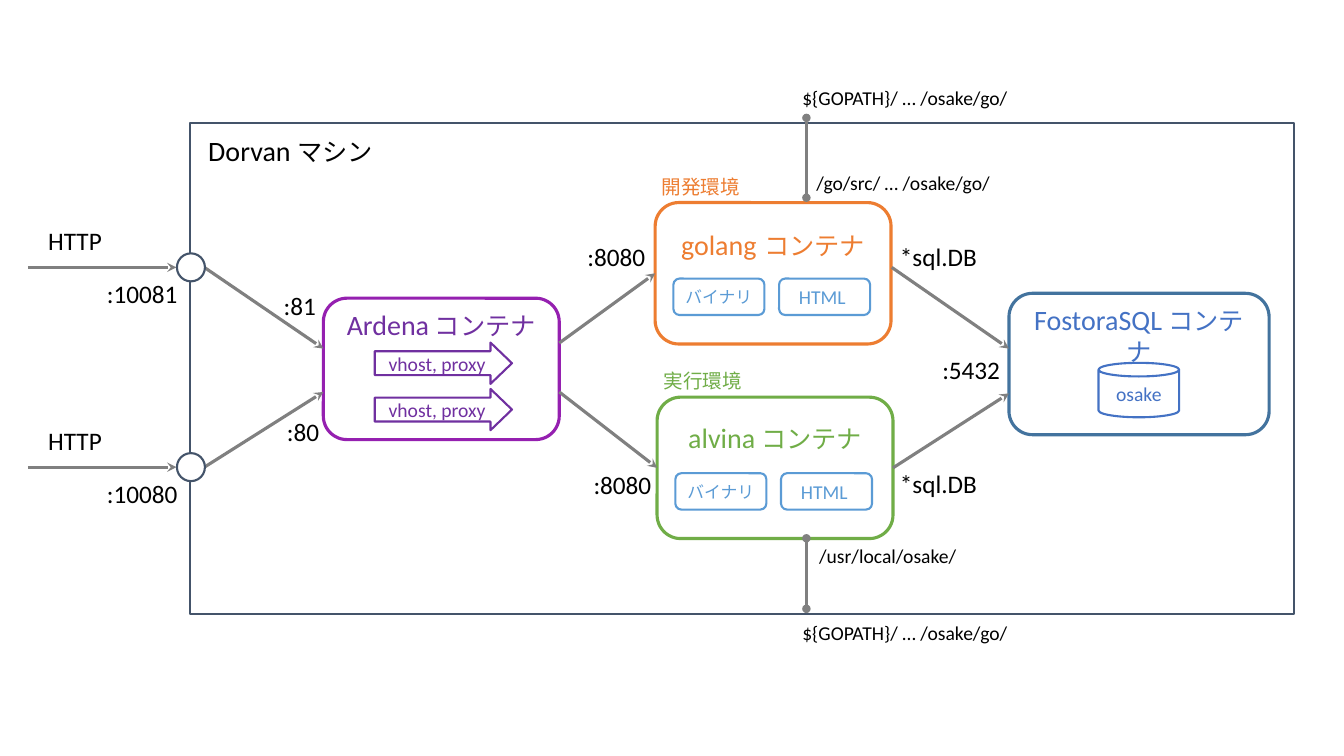
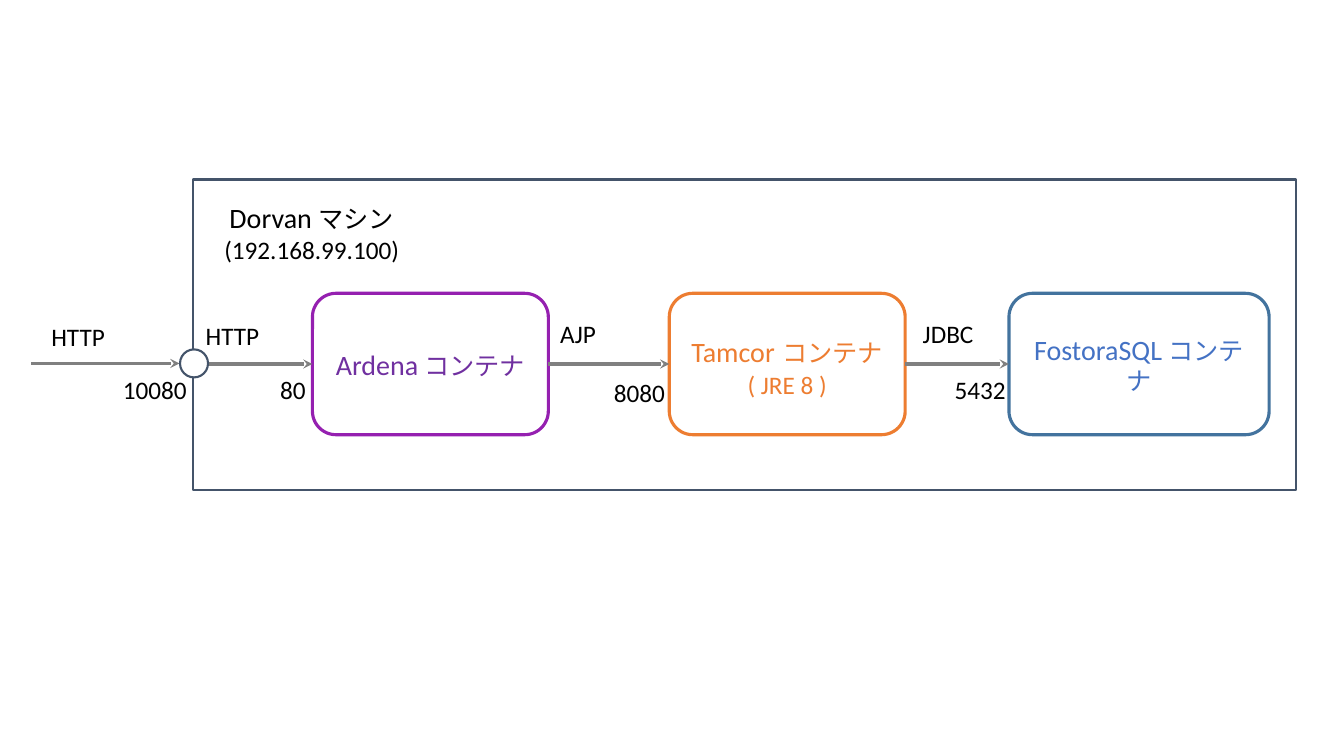
from collections import namedtuple

from lxml import etree
from pptx import Presentation
from pptx import util as u
from pptx.dml.color import RGBColor
from pptx.enum import shapes, text
from pptx.oxml import ns

Pt = u.Pt
Kind = shapes.MSO_SHAPE
Align = text.PP_ALIGN
Anchor = text.MSO_ANCHOR
Box = namedtuple("Box", "left top width height")

FONT = "Calibri"
BLACK = RGBColor(0x00, 0x00, 0x00)
WHITE = RGBColor(0xFF, 0xFF, 0xFF)
GREY = RGBColor(0x80, 0x80, 0x80)
SLATE = RGBColor(0x44, 0x54, 0x6A)
VIOLET = RGBColor(0x95, 0x20, 0xB0)
PURPLE = RGBColor(0x70, 0x30, 0xA0)
STEEL = RGBColor(0x43, 0x73, 0x9E)
BLUE = RGBColor(0x44, 0x72, 0xC4)
SKY = RGBColor(0x5B, 0x9B, 0xD5)
ORANGE = RGBColor(0xED, 0x7D, 0x31)
GREEN = RGBColor(0x70, 0xAD, 0x47)

CONTAINER_W, CONTAINER_H = 168.5, 101
DATABASE_W = 185.8
PORT_RADIUS = 10
LABEL_W, LABEL_H = 76, 28.8
HOST_PATH = "${GOPATH}/ … /osake/go/"


# Basic parts
def write(frame, lines, color, align=Align.CENTER):
    """Each line is a list of (text, size) spans."""
    frame.word_wrap = True
    for number, line in enumerate(lines):
        para = frame.add_paragraph() if number else frame.paragraphs[0]
        para.alignment = align
        for words, size in line:
            span = para.add_run()
            span.text = words
            span.font.name = FONT
            span.font.size = Pt(size)
            span.font.color.rgb = color


def add_text(page, box, lines, color=BLACK, align=Align.CENTER):
    area = page.shapes.add_textbox(*map(Pt, box))
    write(area.text_frame, lines, color, align)


def add_label(page, words, center, top):
    box = Box(center - LABEL_W / 2, top, LABEL_W, LABEL_H)
    add_text(page, box, [[(words, 18)]])


def add_note(page, words, left, top, width, color=BLACK):
    add_text(page, Box(left, top, width, 24.5), [[(words, 14)]], color, Align.LEFT)


def add_outline(page, kind, box, color, weight=1.5, fill=None):
    shape = page.shapes.add_shape(kind, *map(Pt, box))
    shape.shadow.inherit = False
    if fill is None:
        shape.fill.background()
    else:
        shape.fill.solid()
        shape.fill.fore_color.rgb = fill
    shape.line.color.rgb = color
    shape.line.width = Pt(weight)
    shape.text_frame.vertical_anchor = Anchor.MIDDLE
    return shape


def add_line(page, start, end, weight=2.25, head=None, tail="stealth"):
    line = page.shapes.add_connector(
        shapes.MSO_CONNECTOR.STRAIGHT, *map(Pt, (*start, *end)))
    line.line.color.rgb = GREY
    line.line.width = Pt(weight)
    properties = line.element.spPr
    stroke = properties.find(ns.qn("a:ln"))
    for tag, tip in (("a:headEnd", head), ("a:tailEnd", tail)):
        if tip:
            etree.SubElement(stroke, ns.qn(tag), type=tip)
    etree.SubElement(properties, ns.qn("a:effectLst"))
    return line


def link(page, start, end, source=None, target=None):
    """Arrow to the right, joined to side middles where boxes are given."""
    arrow = add_line(page, start, end)
    if source is not None:
        arrow.begin_connect(source, 3)
    if target is not None:
        arrow.end_connect(target, 1)


# Regions
def add_machine(page, box, title_left, title_top, address=None):
    add_outline(page, Kind.RECTANGLE, box, SLATE)
    lines = [[("Dorvan ", 20), ("マシン", 18)]]
    if address:
        lines.append([(address, 18)])
    title = Box(box.left + title_left, box.top + title_top, 149, 32 * len(lines))
    add_text(page, title, lines)


def add_entry(page, machine, y, port, port_shift):
    """HTTP request that arrives at a port on the left edge of the machine."""
    edge = machine.left
    add_line(page, (edge - 116, y), (edge - PORT_RADIUS, y))
    add_label(page, "HTTP", edge - 82.4, y - 33.6)
    add_label(page, port, edge - port_shift, y + 4.6)
    circle = Box(edge + 0.4 - PORT_RADIUS, y - PORT_RADIUS,
                 2 * PORT_RADIUS, 2 * PORT_RADIUS)
    add_outline(page, Kind.OVAL, circle, SLATE, fill=WHITE)


def add_container(page, box, lines, border, color, top_margin=None):
    """Rounded box; a top margin moves its heading to the top."""
    shape = add_outline(page, Kind.ROUNDED_RECTANGLE, box, border, 2.25)
    frame = shape.text_frame
    if top_margin is not None:
        frame.vertical_anchor = Anchor.TOP
        frame.margin_top = Pt(top_margin)
    write(frame, lines, color)
    return shape


def add_web(page, box, top_margin=None):
    heading = [[("Ardena", 20), (" コンテナ", 18)]]
    return add_container(page, box, heading, VIOLET, PURPLE, top_margin)


def add_database(page, box, top_margin=None):
    heading = [[("FostoraSQL ", 20), ("コンテナ", 18)]]
    return add_container(page, box, heading, STEEL, BLUE, top_margin)


def add_proxies(page, box):
    for top in (31.7, 64.8):
        arrow = add_outline(page, Kind.RIGHT_ARROW,
                            Box(box.left + 36.7, box.top + top, 98, 29.5), PURPLE)
        arrow.adjustments[0] = 0.58
        arrow.adjustments[1] = 0.52
        write(arrow.text_frame, [[("vhost, proxy", 14)]], PURPLE)


def add_store(page, box):
    store = add_outline(page, Kind.CAN,
                        Box(box.left + 64, box.top + 49.7, 57.6, 38.9), BLUE)
    write(store.text_frame, [[("osake", 14)]], BLUE)


def add_runtime(page, box, heading, color, environment, top_margin):
    shape = add_container(page, box, [heading], color, color, top_margin)
    add_note(page, environment, box.left - 2.5, box.top - 23.4, 80, color)
    for left, words, size in ((13, "バイナリ", 12), (88.5, "HTML ", 14)):
        chip = add_outline(page, Kind.ROUNDED_RECTANGLE,
                           Box(box.left + left, box.top + 54.3, 65, 26), SKY)
        chip.text_frame.margin_left = chip.text_frame.margin_right = Pt(3)
        write(chip.text_frame, [[(words, size)]], SKY)
    return shape


def add_mount(page, box, host_top, inner_path, inner_left, inner_top):
    """Directory shared between the host and a container."""
    add_line(page, (box.left, box.top + box.height), (box.left, box.top),
             2, "oval", "oval")
    add_note(page, HOST_PATH, box.left - 10, box.top + host_top, 170)
    add_note(page, inner_path, box.left + inner_left, box.top + inner_top, 150)


# Slides
def add_go_page(page):
    machine = Box(136, 88, 788, 350.6)
    web_box = Box(231, 213, CONTAINER_W, CONTAINER_H)
    database_box = Box(720.7, 209.5, DATABASE_W, CONTAINER_H)
    add_machine(page, machine, -3, 3.6)

    # Containers
    add_web(page, web_box, 1.5)
    add_proxies(page, web_box)
    add_database(page, database_box, 1.5)
    add_store(page, database_box)
    develop = add_runtime(
        page, Box(468, 144.7, CONTAINER_W, CONTAINER_H),
        [("golang", 20), (" ", 24), ("コンテナ", 18)], ORANGE, "開発環境", 9)
    release = add_runtime(
        page, Box(469.4, 283.7, CONTAINER_W, CONTAINER_H),
        [("alvina", 20), (" コンテナ", 18)], GREEN, "実行環境", 12)

    # Requests and queries
    web_right = web_box.left + web_box.width
    for y, port, inner_y in ((191, ":10081", 249), (333.7, ":10080", 280)):
        link(page, (machine.left + PORT_RADIUS, y), (web_box.left, inner_y))
        add_entry(page, machine, y, port, 34.4)
    link(page, (web_right, 245), (468, 195), target=develop)
    link(page, (web_right, 280), (469.4, 334), target=release)
    link(page, (637, 191), (database_box.left, 249))
    link(page, (638, 334), (database_box.left, 281), source=release)
    for words, center, top in (
            (":81", 214.2, 203.8), (":80", 216.4, 293.8),
            (":8080", 440.3, 168.5), (":8080", 444.6, 331.9),
            ("*sql.DB", 670.3, 168.5), ("*sql.DB", 670.3, 331.2),
            (":5432", 693.7, 249.8)):
        add_label(page, words, center, top)

    # Shared directories
    add_mount(page, Box(576, 84.2, 0, 57), -26.6, "/go/src/ … /osake/go/", 0, 34.6)
    add_mount(page, Box(576, 384.5, 0, 50.4), 55.5, "/usr/local/osake/", 2, 0.7)


def add_java_page(page):
    machine = Box(138.2, 128.2, 787.7, 221.8)
    row_top = 209.5
    middle = row_top + CONTAINER_H / 2
    add_machine(page, machine, 10, 11.5, "(192.168.99.100)")

    # Containers
    web = add_web(page, Box(223.2, row_top, CONTAINER_W, CONTAINER_H))
    servlet = add_container(
        page, Box(478.1, row_top, CONTAINER_W, CONTAINER_H),
        [[("Tamcor", 20), (" ", 24), ("コンテナ", 18)], [("( JRE 8 )", 18)]],
        ORANGE, ORANGE)
    database = add_database(page, Box(720.7, row_top, DATABASE_W, CONTAINER_H))

    # Requests
    link(page, (machine.left, middle), (223.2, middle), target=web)
    add_entry(page, machine, middle - 0.4, "10080", 27.7)
    for source, target in ((web, servlet), (servlet, database)):
        link(page, (0, middle), (0, middle), source, target)
    for words, center, top in (
            ("HTTP", 166, 225.4), ("80", 209.2, 264.2),
            ("AJP", 412.9, 223.9), ("8080", 456.8, 265.7),
            ("JDBC", 677.2, 223.9), ("5432", 700.2, 264.2)):
        add_label(page, words, center, top)


def main():
    deck = Presentation()
    deck.slide_width, deck.slide_height = Pt(960), Pt(540)
    for build in (add_go_page, add_java_page):
        build(deck.slides.add_slide(deck.slide_layouts[6]))
    deck.save("out.pptx")


if __name__ == "__main__":
    main()
